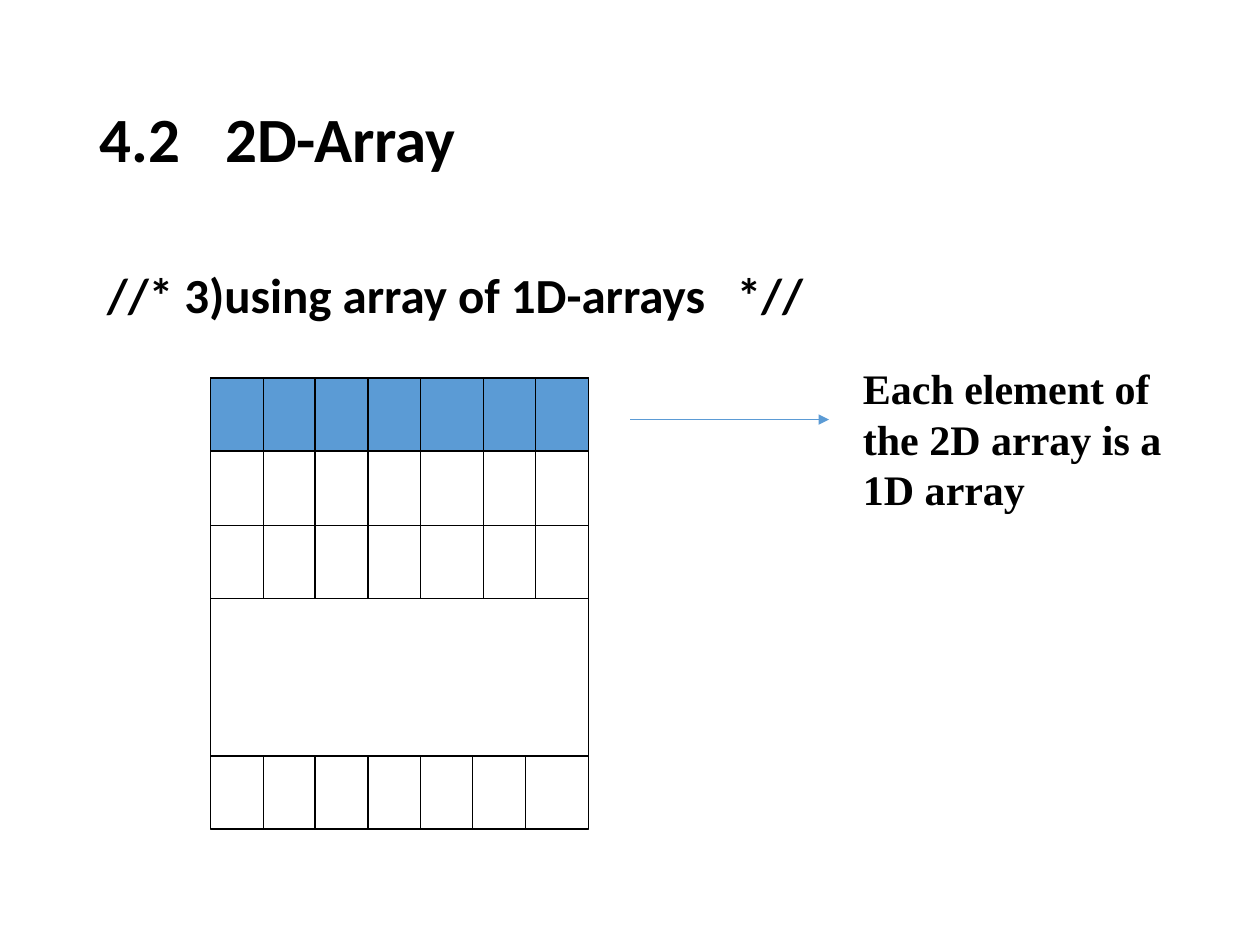
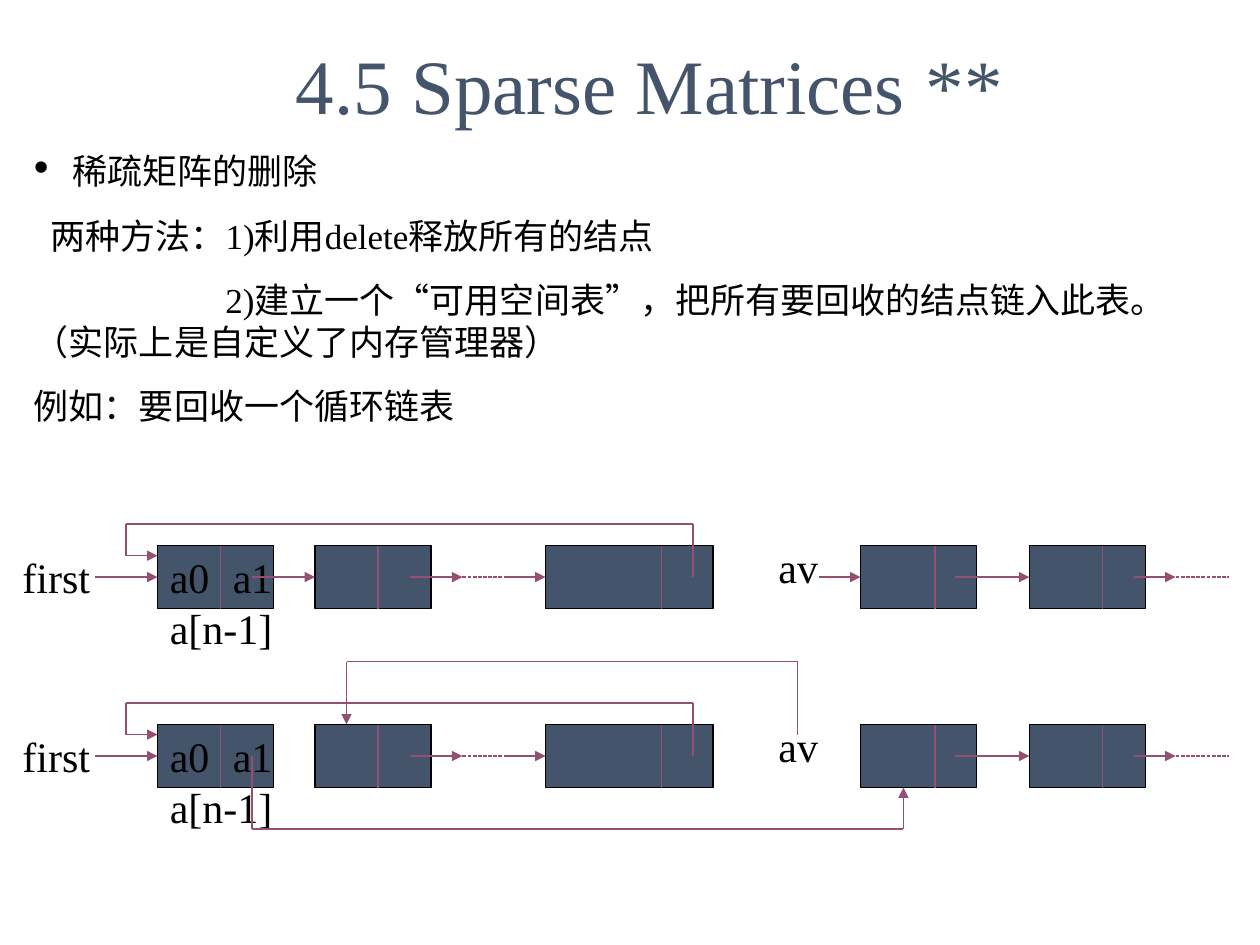
import pptx
import pptx.util
import pptx.dml.color
import pptx.enum.dml
import pptx.enum.shapes
import pptx.enum.text
import pptx.oxml
import pptx.oxml.ns
from lxml import etree

Inches = pptx.util.Inches
Pt = pptx.util.Pt
RGBColor = pptx.dml.color.RGBColor
MIDDLE = pptx.enum.text.MSO_ANCHOR.MIDDLE
RECT = pptx.enum.shapes.MSO_SHAPE.RECTANGLE
STRAIGHT = pptx.enum.shapes.MSO_CONNECTOR.STRAIGHT
DOTTED = pptx.enum.dml.MSO_LINE.SQUARE_DOT

BLACK = RGBColor(0x00, 0x00, 0x00)
BLUE = RGBColor(0x5B, 0x9B, 0xD5)
SLATE = RGBColor(0x44, 0x54, 0x6A)
PLUM = RGBColor(0x95, 0x4F, 0x72)
SANS = "Calibri"
SERIF = "Times New Roman"
LINE_WIDTH = Pt(0.75)
LEFT_SIDE = 1


def add_xml(parent, tag, **attrs):
    child = etree.SubElement(parent, pptx.oxml.ns.qn(tag))
    for name, value in attrs.items():
        child.set(name, str(value))
    return child


def add_text_box(s, x, y, w, h, anchor=None):
    tf = s.shapes.add_textbox(Inches(x), Inches(y), Inches(w), Inches(h)).text_frame
    tf.word_wrap = True
    if anchor is not None:
        tf.vertical_anchor = anchor
    return tf


def write(p, text, size=24, font=SERIF, color=BLACK, bold=False, spacing=None,
          before=None, margin=0, indent=0, bullet=None, tab=None):
    if spacing:
        p.line_spacing = spacing
    if before is not None:
        p.space_before = Pt(before)
    pPr = p._p.get_or_add_pPr()
    pPr.set("marL", str(Inches(margin)))
    pPr.set("indent", str(Inches(indent)))
    if bullet:
        add_xml(pPr, "a:buFont", typeface="Arial")
        add_xml(pPr, "a:buChar", char=bullet)
    if tab:
        add_xml(add_xml(pPr, "a:tabLst"), "a:tab", pos=Inches(tab), algn="l")
    p.line_spacing = spacing
    parts = text if isinstance(text, list) else [(text, size)]
    for part, part_size in parts:
        for i, piece in enumerate(part.split("\v")):
            if i:
                p.add_line_break()
            r = p.add_run()
            r.text = piece
            r.font.size = Pt(part_size)
            r.font.name = font
            r.font.bold = bold
            r.font.color.rgb = color


def add_label(s, text, x, y, w, h, anchor=None, **fmt):
    write(add_text_box(s, x, y, w, h, anchor).paragraphs[0], text, **fmt)


def add_box(s, x, y, w, h, fill=None):
    sp = s.shapes.add_shape(RECT, Inches(x), Inches(y), Inches(w), Inches(h))
    sp.shadow.inherit = False
    if fill is None:
        sp.fill.background()
    else:
        sp.fill.solid()
        sp.fill.fore_color.rgb = fill
    sp.line.color.rgb = BLACK
    sp.line.width = LINE_WIDTH
    return sp


def add_line(s, start, end, color=PLUM, arrow=False, dotted=False, target=None):
    cxn = s.shapes.add_connector(STRAIGHT, *[Inches(v) for v in (*start, *end)])
    cxn.line.color.rgb = color
    cxn.line.width = LINE_WIDTH
    if dotted:
        cxn.line.dash_style = DOTTED
    if arrow:
        add_xml(cxn.line._get_or_add_ln(), "a:tailEnd", type="triangle")
    add_xml(cxn._element.spPr, "a:effectLst")
    if target is not None:
        cxn.end_connect(target, LEFT_SIDE)


def add_route(s, points):
    for i, (start, end) in enumerate(zip(points, points[1:]), 2):
        add_line(s, start, end, arrow=i == len(points))


def array_grid(s, x, y, w, h):
    row_h = 0.58
    rows = [0.58, 1.17, 1.75, 3]
    upper_columns = [0.42, 0.83, 1.25, 1.67, 2.17, 2.58]
    lower_columns = [0.42, 0.83, 1.25, 1.67, 2.08, 2.5]
    add_box(s, x, y, w, row_h, BLUE)
    add_box(s, x, y, w, h)
    for dy in rows:
        add_line(s, (x, y + dy), (x + w, y + dy), BLACK)
    for columns, top, bottom in ((upper_columns, 0, 1.75), (lower_columns, 3, h)):
        for dx in columns:
            add_line(s, (x + dx, y + top), (x + dx, y + bottom), BLACK)


def array_slide(prs):
    s = prs.slides.add_slide(prs.slide_layouts[6])
    add_label(s, "4.2\t2D-Array", 0.69, 0.4, 8.63, 1.45, MIDDLE,
              size=36, font=SANS, bold=True, spacing=0.9, tab=0.87)
    add_label(s, "//* 3)using array of 1D-arrays\t*//", 0.75, 2.1, 8.83, 0.6,
              size=28, font=SANS, bold=True, spacing=0.9, before=7.5, tab=5.04)
    array_grid(s, 1.67, 3, 3, 3.58)
    add_line(s, (5, 3.33), (6.58, 3.33), BLUE, arrow=True)
    add_label(s, "Each element of the 2D array is a 1D array", 6.75, 2.83, 2.92, 1.3,
              bold=True)


def deletion_notes(s, x, y, w, h):
    tf = add_text_box(s, x, y, w, h)
    notes = [
        ([(" ", 24), ("稀疏矩阵的删除", 20)], dict(bullet="•", margin=0.23, indent=-0.23)),
        ("两种方法：1)利用delete释放所有的结点", dict(indent=0.13)),
        ("2)建立一个“可用空间表”，把所有要回收的结点链入此表。（实际上是自定义了内存管理器）",
         dict(indent=1.52)),
        ("例如：要回收一个循环链表", {}),
    ]
    for i, (text, fmt) in enumerate(notes):
        p = tf.add_paragraph() if i else tf.paragraphs[0]
        write(p, text, size=20, before=12.5, **fmt)


def list_row(s, x, y, recycled):
    h = 0.5
    mid = y + h / 2

    def link(start, end, target=None, **fmt):
        add_line(s, (x + start, mid), (x + end, mid), target=target, **fmt)

    nodes = []
    for dx, w, divider in ((1.17, 0.92, 0.5), (2.42, 0.92, 0.5), (4.25, 1.33, 0.92),
                           (6.75, 0.92, 0.59), (8.09, 0.92, 0.58)):
        nodes.append(add_box(s, x + dx, y, w, h, SLATE))
        edge = x + dx + divider
        add_line(s, (edge, y), (edge, y + h))
    a0, a1, last, av_head, av_next = nodes

    add_label(s, "first", x, y, 0.83, h)
    add_label(s, "a0\ta1\va[n-1]", x + 1.17, y, 4, 0.9, tab=1.23)
    add_label(s, "av", x + 6, y - 0.08, 0.58, h)

    link(0.67, 1.17, a0, arrow=True)
    link(3.17, 3.59, arrow=True)
    link(3.59, 4, dotted=True)
    link(3.92, 4.25, last, arrow=True)
    link(7.5, 8.09, av_next, arrow=True)
    link(8.92, 9.25, arrow=True)
    link(9.25, 9.67, dotted=True)
    add_route(s, [(x + 5.42, mid), (x + 5.42, y - 0.17), (x + 0.92, y - 0.17),
                  (x + 0.92, y + 0.08), (x + 1.17, y + 0.08)])
    if recycled:
        add_route(s, [(x + 1.92, mid), (x + 1.92, y + 0.83),
                      (x + 7.09, y + 0.83), (x + 7.09, y + h)])
        add_route(s, [(x + 6.25, y + 0.08), (x + 6.25, y - 0.5),
                      (x + 2.67, y - 0.5), (x + 2.67, y)])
    else:
        link(1.92, 2.42, a1, arrow=True)
        link(6.42, 6.75, av_head, arrow=True)


def sparse_slide(prs):
    s = prs.slides.add_slide(prs.slide_layouts[6])
    deletion_notes(s, 0.17, 1.08, 9.58, 2.36)
    list_row(s, 0.08, 4.33, recycled=False)
    list_row(s, 0.08, 5.75, recycled=True)
    add_label(s, "4.5 Sparse Matrices\t**", 2.25, 0.25, 6.66, 0.84,
              size=44, color=SLATE, tab=5.15)


def main():
    prs = pptx.Presentation()
    prs.slide_width = Inches(10)
    prs.slide_height = Inches(7.5)
    array_slide(prs)
    sparse_slide(prs)
    prs.save("out.pptx")


if __name__ == "__main__":
    main()
